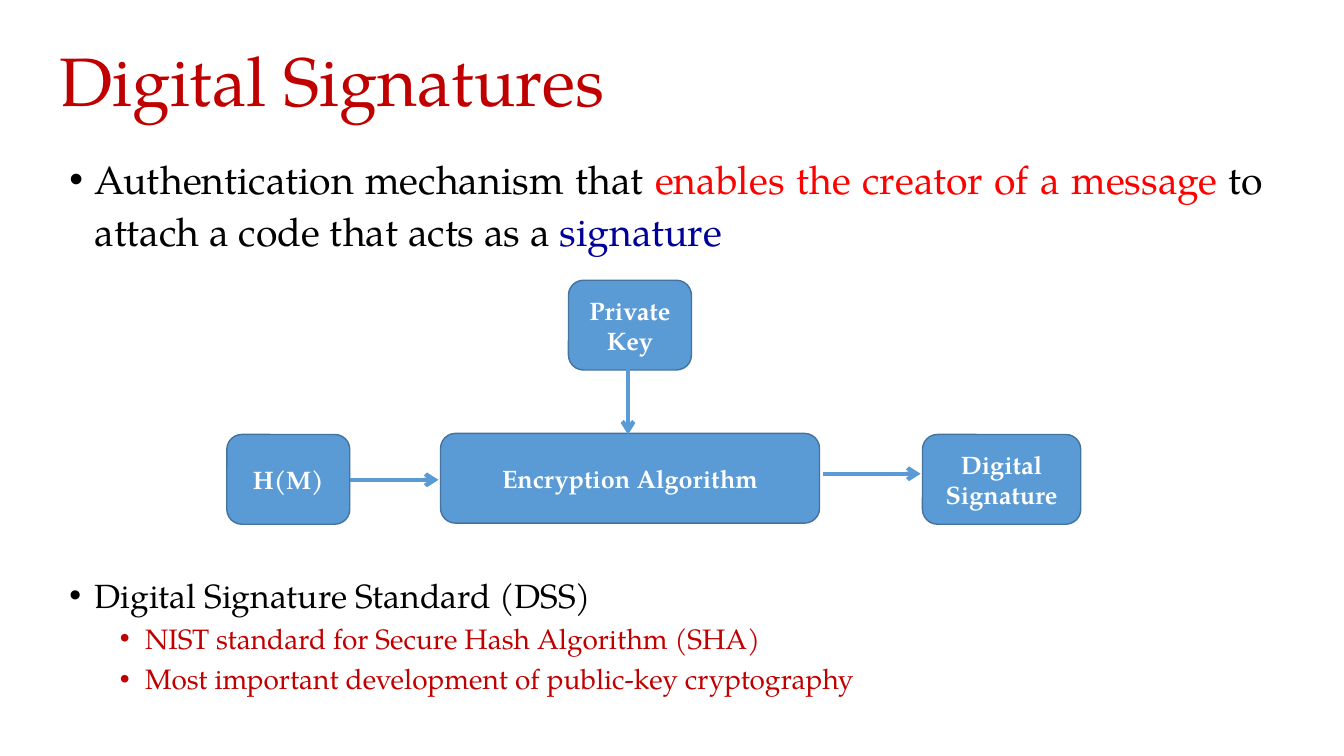
"""Builds the Digital Signatures slide: two bullet lists around a signing diagram."""
from lxml import etree
from pptx import Presentation, util as u
from pptx.dml.color import RGBColor
from pptx.enum import shapes, text
from pptx.oxml.ns import qn

FONT = "TeX Gyre Pagella"
COLORS = {"black": "000000", "white": "FFFFFF", "crimson": "C00000", "red": "FF0000",
          "navy": "000099", "blue": "5B9BD5", "edge": "43739E"}
W, H = u.Inches(13.33), u.Inches(7.5)
BOX_HEIGHT = 11.87


def rgb(name):
    return RGBColor.from_string(COLORS[name])


def place(*percents):
    """Turns alternating percentages of slide width and height into lengths."""
    return [u.Emu(round((H if i % 2 else W) * v / 100)) for i, v in enumerate(percents)]


def style(r, size, color, bold=False):
    r.font.name, r.font.size, r.font.bold = FONT, u.Pt(size), bold
    r.font.color.rgb = rgb(color)


def add_text(s, *area):
    tf = s.shapes.add_textbox(*place(*area)).text_frame
    tf.word_wrap = True
    return tf


def add_title(s, title):
    tf = add_text(s, 3.68, 2.27, 82.8, 17.73)
    tf.text = title
    tf.vertical_anchor = text.MSO_ANCHOR.MIDDLE
    tf.paragraphs[0].line_spacing = 0.9
    style(tf.paragraphs[0].runs[0], 49, "crimson")


def add_bullets(s, top, height, spacing, items):
    """Adds a list of (level, size, [(text, color), ...]) bullets."""
    tf = add_text(s, 4.43, top, 90.25, height)
    for i, (level, size, parts) in enumerate(items):
        p = tf.add_paragraph() if i else tf.paragraphs[0]
        p.level, p.line_spacing = level, spacing
        p.alignment = text.PP_ALIGN.JUSTIFY
        pPr = p._p.get_or_add_pPr()
        pPr.set("marL", str(u.Inches(0.25 + 0.5 * level)))
        pPr.set("indent", str(u.Inches(-0.25)))
        etree.SubElement(pPr, qn("a:buFont"), typeface="Arial")
        etree.SubElement(pPr, qn("a:buChar"), char="•")
        for words, color in parts:
            r = p.add_run()
            r.text = words
            style(r, size, color)


def add_box(s, label, left, top, width):
    sp = s.shapes.add_shape(shapes.MSO_SHAPE.ROUNDED_RECTANGLE,
                            *place(left, top, width, BOX_HEIGHT))
    sp.shadow.inherit = False
    sp.fill.solid()
    sp.fill.fore_color.rgb = rgb("blue")
    sp.line.color.rgb = rgb("edge")
    sp.line.width = u.Pt(1)
    tf = sp.text_frame
    tf.text = label
    tf.word_wrap = True
    tf.vertical_anchor = text.MSO_ANCHOR.MIDDLE
    p = tf.paragraphs[0]
    p.alignment = text.PP_ALIGN.CENTER
    style(p.runs[0], 18, "white", bold=True)


def add_arrow(s, *ends):
    c = s.shapes.add_connector(shapes.MSO_CONNECTOR.STRAIGHT, *place(*ends))
    c.line.color.rgb = rgb("blue")
    c.line.width = u.Pt(3)
    etree.SubElement(c.line._get_or_add_ln(), qn("a:tailEnd"), type="arrow")
    etree.SubElement(c._element.spPr, qn("a:effectLst"))


def main():
    prs = Presentation()
    prs.slide_width, prs.slide_height = W, H
    s = prs.slides.add_slide(prs.slide_layouts[6])
    add_title(s, "Digital Signatures")
    add_bullets(s, 19.33, 16, 1.1, [
        (0, 28, [("Authentication mechanism that ", "black"),
                 ("enables the creator of a message ", "red"),
                 ("to attach a code that acts as a ", "black"),
                 ("signature", "navy")])])
    add_bullets(s, 74.27, 20, 1.2, [
        (0, 24, [("Digital Signature Standard (DSS)", "black")]),
        (1, 20, [("NIST standard for Secure Hash Algorithm (SHA)", "crimson")]),
        (1, 20, [("Most important development of public-key cryptography", "crimson")])])
    for box in [("Encryption Algorithm", 32.78, 57.33, 28.2), ("H(M)", 16.88, 57.47, 9.15),
                ("Private Key", 42.3, 37.07, 9.15), ("Digital Signature", 68.64, 57.47, 11.78)]:
        add_box(s, *box)
    for ends in [(26.03, 63.47, 32.63, 63.47), (61.2, 62.67, 68.5, 62.67),
                 (46.73, 48.67, 46.73, 57.47)]:
        add_arrow(s, *ends)
    prs.save("out.pptx")


if __name__ == "__main__":
    main()
